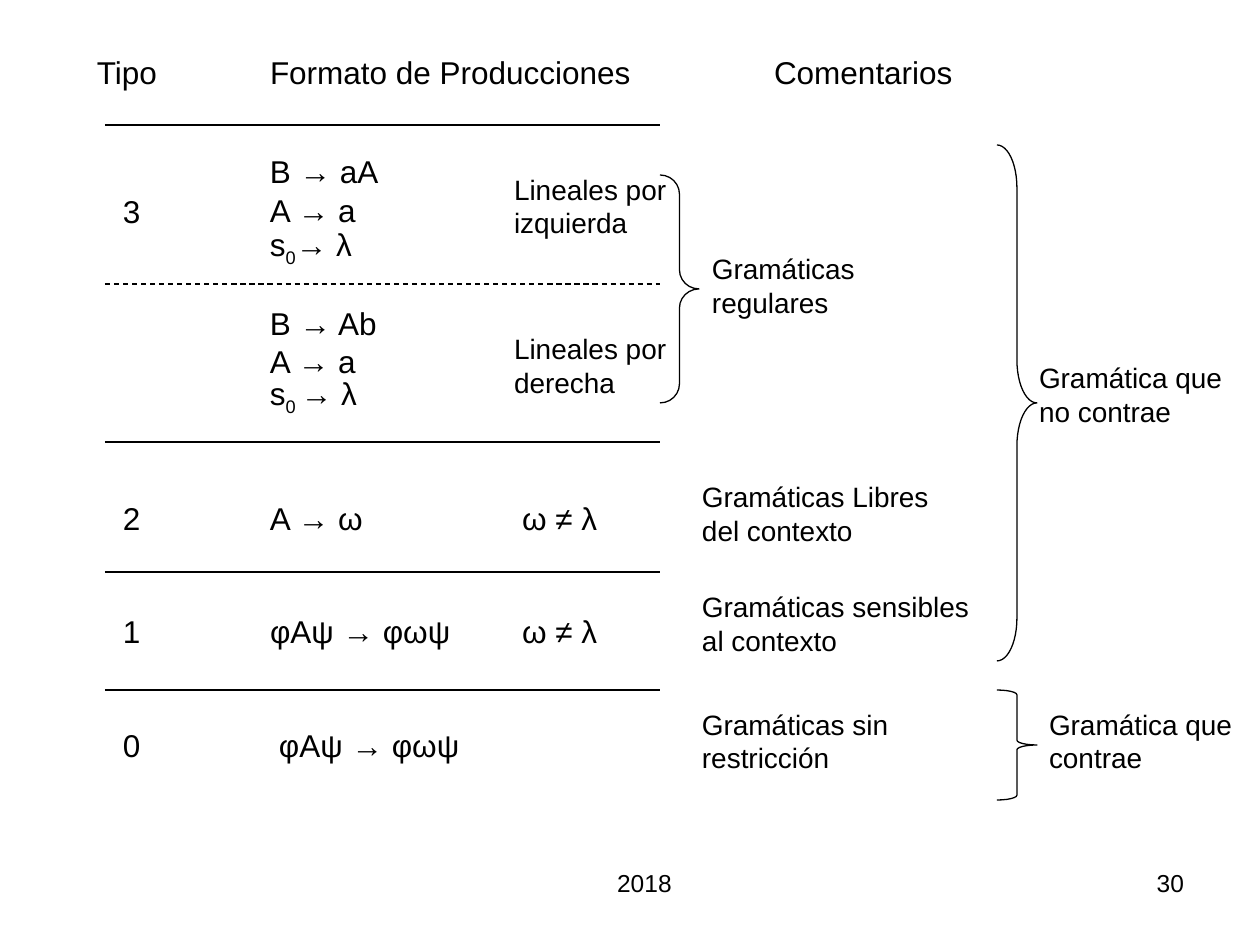
from dataclasses import dataclass
from lxml.etree import SubElement
from pptx import Presentation
from pptx.dml.color import RGBColor
from pptx.enum.dml import MSO_LINE
from pptx.enum.shapes import MSO_CONNECTOR, MSO_SHAPE
from pptx.enum.text import MSO_ANCHOR, PP_ALIGN
from pptx.oxml.ns import qn
from pptx.util import Emu, Pt

BLACK = RGBColor(0, 0, 0)
FONT = "Arial"
SCALE = 914400 / 126
TYPE_X, FORM_X, COND_X, HEAD_X = 97, 270, 522, 774
DIGIT_X, NOTE_X = 123, 702
LEFT, RIGHT = 105, 660


@dataclass
class Label:
    text: str
    x: int
    mid: int
    wide: int
    high: int = 36
    size: int = 18
    lead: float = 0


@dataclass
class Rule:
    y: int
    dashed: bool = False


@dataclass
class Brace:
    x: int
    y: int
    wide: int
    high: int
    curve: float


def px(n: float) -> Emu:
    return Emu(round(n * SCALE))


def write(slide, text: str, *, x: int, mid: int, wide: int, high: int = 36,
          size: int = 18, lead: float = 0, align=PP_ALIGN.LEFT) -> None:
    box = slide.shapes.add_textbox(px(x), px(mid - high / 2), px(wide), px(high))
    frame = box.text_frame
    frame.word_wrap = True
    frame.vertical_anchor = MSO_ANCHOR.MIDDLE
    frame.margin_left = frame.margin_right = 0
    frame.margin_top = frame.margin_bottom = 0
    for i, line in enumerate(text.split("\n")):
        para = frame.paragraphs[0] if i == 0 else frame.add_paragraph()
        para.alignment = align
        if lead:
            para.line_spacing = Pt(lead)
        for j, part in enumerate(line.split("~")):
            run = para.add_run()
            run.text = part
            run.font.name = FONT
            run.font.size = Pt(size)
            run.font.color.rgb = BLACK
            if j % 2:
                run.font._element.set("baseline", "-25000")


def draw_label(slide, item: Label) -> None:
    write(slide, item.text, x=item.x, mid=item.mid, wide=item.wide,
          high=item.high, size=item.size, lead=item.lead)


def draw_rule(slide, rule: Rule) -> None:
    line = slide.shapes.add_connector(
        MSO_CONNECTOR.STRAIGHT, px(LEFT), px(rule.y), px(RIGHT), px(rule.y))
    line.line.color.rgb = BLACK
    line.line.width = Pt(0.75)
    if rule.dashed:
        line.line.dash_style = MSO_LINE.DASH
    SubElement(line._element.spPr, qn("a:effectLst"))


def draw_brace(slide, brace: Brace) -> None:
    shape = slide.shapes.add_shape(
        MSO_SHAPE.RIGHT_BRACE, px(brace.x), px(brace.y),
        px(brace.wide), px(brace.high))
    shape.adjustments[0] = brace.curve
    shape.adjustments[1] = 0.5
    shape.shadow.inherit = False
    shape.fill.background()
    shape.line.color.rgb = BLACK
    shape.line.width = Pt(0.75)


def note(text: str, x: int, mid: int, wide: int) -> Label:
    return Label(text, x, mid, wide, high=80, size=16)


LABELS = [
    Label("Tipo", TYPE_X, 72, 90),
    Label("Formato de Producciones", FORM_X, 72, 400),
    Label("Comentarios", HEAD_X, 72, 220),
    Label("3", DIGIT_X, 211, 40),
    Label("B → aA\nA → a\ns~0~→ λ", FORM_X, 209, 200, high=120, lead=22.5),
    Label("B → Ab\nA → a\ns~0 ~→ λ", FORM_X, 361, 200, high=114, lead=21.5),
    Label("2", DIGIT_X, 518, 40),
    Label("A → ω", FORM_X, 518, 200),
    Label("ω ≠ λ", COND_X, 518, 120),
    Label("1", DIGIT_X, 631, 40),
    Label("φAψ → φωψ", FORM_X, 631, 230),
    Label("ω ≠ λ", COND_X, 631, 120),
    Label("0", DIGIT_X, 745, 40),
    Label("φAψ → φωψ", 279, 745, 230),
    note("Lineales por izquierda", 514, 206, 172),
    note("Lineales por derecha", 514, 365, 172),
    note("Gramáticas regulares", 712, 285, 172),
    note("Gramáticas Libres del contexto", NOTE_X, 513, 233),
    note("Gramáticas sensibles al contexto", NOTE_X, 623, 272),
    note("Gramáticas sin restricción", NOTE_X, 741, 272),
    note("Gramática que no contrae", 1039, 394, 193),
    note("Gramática que contrae", 1049, 741, 184),
]
RULES = [Rule(125), Rule(284, dashed=True), Rule(442), Rule(572), Rule(690)]
BRACES = [
    Brace(660, 175, 39, 228, 0.49),
    Brace(997, 145, 40, 516, 1.07),
    Brace(997, 690, 40, 110, 0.12),
]


def main() -> None:
    deck = Presentation()
    deck.slide_width, deck.slide_height = px(1260), px(945)
    slide = deck.slides.add_slide(deck.slide_layouts[6])
    for item in LABELS:
        draw_label(slide, item)
    for rule in RULES:
        draw_rule(slide, rule)
    for brace in BRACES:
        draw_brace(slide, brace)
    write(slide, "2018", x=272, mid=883, wide=745, size=14, align=PP_ALIGN.CENTER)
    write(slide, "30", x=916, mid=883, wide=268, size=14, align=PP_ALIGN.RIGHT)
    deck.save("out.pptx")


if __name__ == "__main__":
    main()
